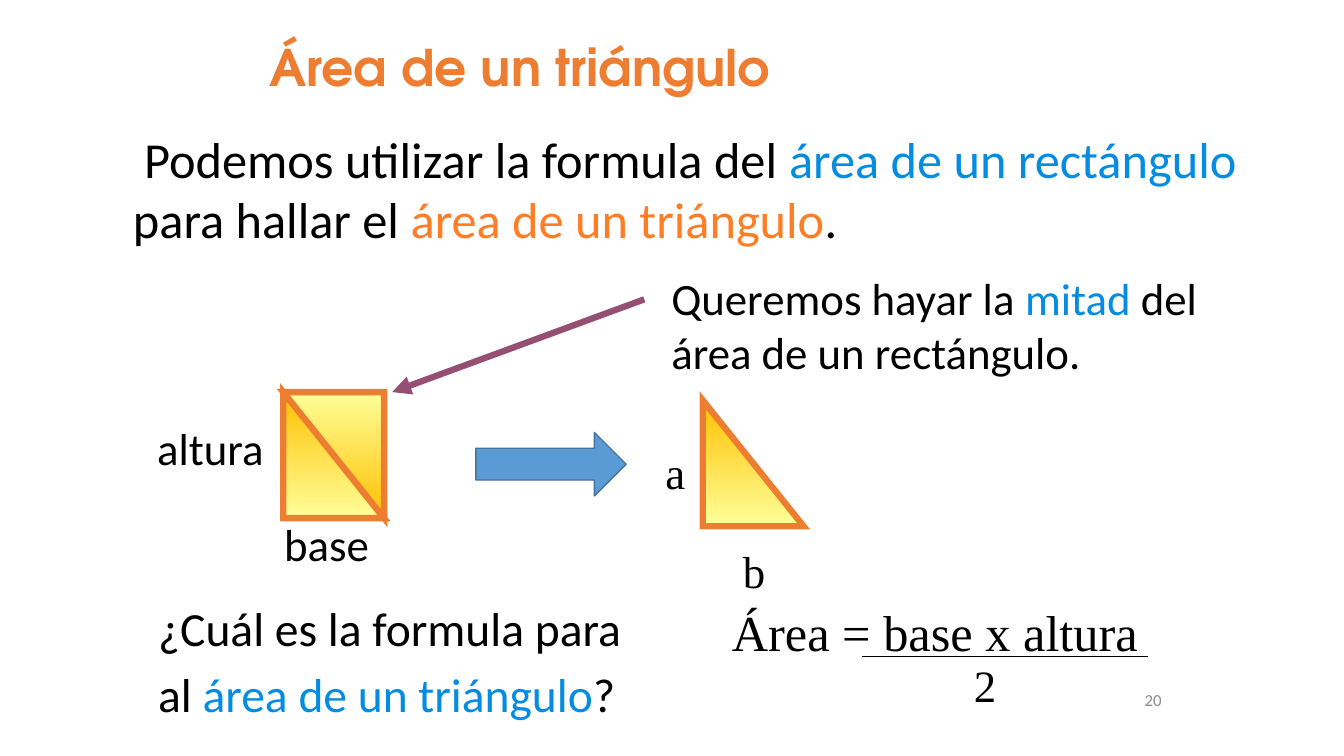
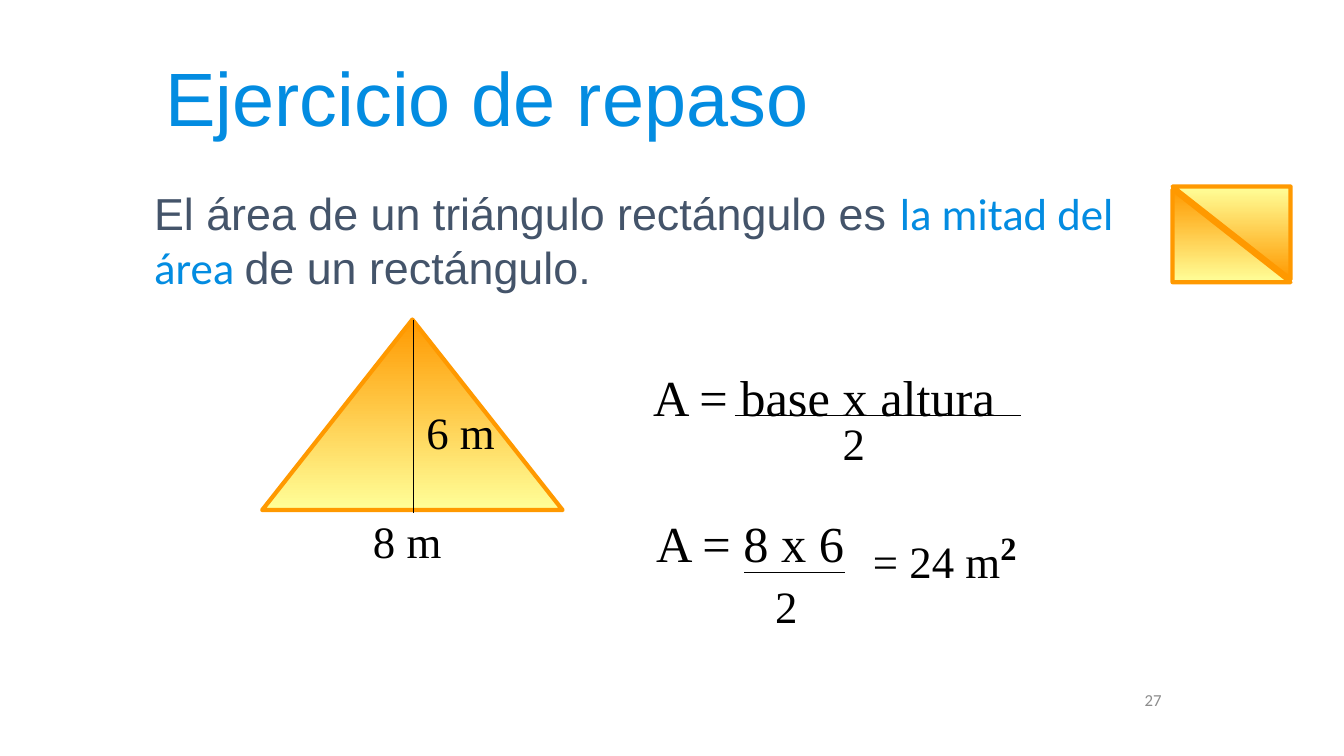
"""Build two slides about the area of a triangle."""
from dataclasses import dataclass

from lxml import etree
from pptx import Presentation
from pptx.dml.color import RGBColor
from pptx.enum.shapes import MSO_CONNECTOR, MSO_SHAPE
from pptx.enum.text import MSO_ANCHOR, MSO_AUTO_SIZE, PP_ALIGN
from pptx.oxml.ns import qn
from pptx.util import Inches, Pt

STRAIGHT = MSO_CONNECTOR.STRAIGHT
RIGHT_TRIANGLE = MSO_SHAPE.RIGHT_TRIANGLE
ISOSCELES = MSO_SHAPE.ISOSCELES_TRIANGLE
RIGHT_ARROW = MSO_SHAPE.RIGHT_ARROW
TOP, MIDDLE = MSO_ANCHOR.TOP, MSO_ANCHOR.MIDDLE
LEFT, CENTER, RIGHT = PP_ALIGN.LEFT, PP_ALIGN.CENTER, PP_ALIGN.RIGHT
TITLE_ONLY = 5


@dataclass(frozen=True)
class Theme:
    """Colours, fonts and type sizes of the deck."""
    black: str = "000000"
    blue: str = "038CE1"
    orange: str = "ED7D31"
    bright_orange: str = "FF7D25"
    amber: str = "FF9900"
    gold: str = "FFC000"
    pale_yellow: str = "FFFF99"
    slate: str = "44546A"
    plum: str = "954F72"
    grey: str = "8C8C8C"
    arrow_fill: str = "5B9BD5"
    arrow_line: str = "43739E"
    body: str = "Calibri"
    sans: str = "Arial"
    serif: str = "Times New Roman"
    display: str = "TeX Gyre Adventor"
    number_size: int = 12
    label_size: int = 32
    question_size: int = 34
    formula_size: int = 36
    power_size: int = 40
    title_size: int = 54


THEME = Theme()


@dataclass(frozen=True)
class Style:
    """Look of a stretch of text."""
    size: int = THEME.label_size
    font: str = THEME.body
    color: str = THEME.black
    bold: bool = False
    baseline: int = 0


@dataclass(frozen=True)
class TriangleStyle:
    """Gradient, outline and corner of a triangle."""
    color: str
    outline: str
    weight: float
    join: str


LABEL = Style()
BLUE_LABEL = Style(color=THEME.blue)
SERIF_LABEL = Style(font=THEME.serif)
FORMULA = Style(THEME.formula_size, THEME.serif)
POWER = Style(THEME.power_size, THEME.serif, bold=True, baseline=32000)
INTRO = Style(THEME.formula_size)
QUESTION = Style(THEME.question_size)
RULE = Style(font=THEME.sans, color=THEME.slate)
GOLD_TRIANGLE = TriangleStyle(THEME.gold, THEME.orange, 4.5, "miter")
AMBER_TRIANGLE = TriangleStyle(THEME.amber, THEME.amber, 3, "round")


def rgb(value):
    """Turn a hex value into a colour."""
    return RGBColor.from_string(value)


def write(box, runs, anchor=TOP, align=LEFT):
    """Fill a box with one paragraph made of (text, style) runs."""
    frame = box.text_frame
    frame.word_wrap = True
    frame.auto_size = MSO_AUTO_SIZE.NONE
    frame.vertical_anchor = anchor
    para = frame.paragraphs[0]
    para.alignment = align
    for text, style in runs:
        span = para.add_run()
        span.text = text
        font = span.font
        font.name, font.size, font.bold = style.font, Pt(style.size), style.bold
        font.color.rgb = rgb(style.color)
        if style.baseline:
            span._r.get_or_add_rPr().set("baseline", str(style.baseline))
    return para


def add_text(page, at, runs, anchor=TOP, align=LEFT):
    """Add a text box and return its paragraph."""
    box = page.shapes.add_textbox(*map(Inches, at))
    return write(box, runs, anchor, align)


def add_line(page, start, end, color=THEME.black, weight=0.75, arrow=False):
    """Add a straight line, with an arrowhead at its end if asked."""
    line = page.shapes.add_connector(STRAIGHT, *map(Inches, start + end))
    line.line.color.rgb = rgb(color)
    line.line.width = Pt(weight)
    properties = line._element.spPr
    if arrow:
        etree.SubElement(properties.find(qn("a:ln")), qn("a:tailEnd"), type="triangle")
    etree.SubElement(properties, qn("a:effectLst"))


def add_shape(page, kind, at, outline, weight):
    """Add a preset shape with an outline and no shadow."""
    shape = page.shapes.add_shape(kind, *map(Inches, at))
    shape.shadow.inherit = False
    shape.line.color.rgb = rgb(outline)
    shape.line.width = Pt(weight)
    return shape


def add_triangle(page, at, style, kind=RIGHT_TRIANGLE, rotation=0):
    """Add a triangle shaded from its colour down to pale yellow."""
    shape = add_shape(page, kind, at, style.outline, style.weight)
    shape.rotation = rotation
    shape.fill.gradient()
    shape.fill.gradient_angle = 270
    for stop, color in zip(shape.fill.gradient_stops, (style.color, THEME.pale_yellow)):
        stop.color.rgb = rgb(color)
    join = etree.SubElement(shape._element.spPr.find(qn("a:ln")), qn(f"a:{style.join}"))
    if style.join == "miter":
        join.set("lim", "800000")


def add_split_rectangle(page, at, style, lift=0):
    """Add a rectangle made of two right triangles."""
    left, top, width, height = at
    add_triangle(page, at, style)
    add_triangle(page, (left, top - lift, width, height), style, rotation=180)


def add_fraction(page, text, at, bar, denominator):
    """Add a formula with a bar (left, right, top) and a 2 under it."""
    add_text(page, at, [(text, FORMULA)])
    left, right, top = bar
    add_line(page, (left, top), (right, top))
    add_text(page, denominator + (0.8, 0.63), [("2", SERIF_LABEL)])


def add_page(deck, title, at, style, anchor, align, number):
    """Add a slide with its title and page number."""
    page = deck.slides.add_slide(deck.slide_layouts[TITLE_ONLY])
    heading = page.shapes.title
    heading.left, heading.top, heading.width, heading.height = map(Inches, at)
    write(heading, [(title, style)], anchor, align)
    number_style = Style(THEME.number_size, color=THEME.grey)
    add_text(page, (9.29, 6.74, 2.33, 0.4), [(number, number_style)], MIDDLE, RIGHT)
    return page


def build_triangle_area(deck):
    """Build the slide that derives the formula."""
    title = Style(THEME.formula_size, THEME.display, THEME.orange, bold=True)
    page = add_page(deck, "Área de un triángulo", (1.32, 0.31, 7.67, 0.92),
                    title, TOP, CENTER, "20")
    intro = add_text(page, (1.22, 1.22, 11.42, 1.31), [
        ("Podemos utilizar la formula del ", INTRO),
        ("área de un rectángulo", Style(THEME.formula_size, color=THEME.blue)),
        (" para hallar el ", INTRO),
        ("área de un triángulo", Style(THEME.formula_size, color=THEME.bright_orange)),
        (".", INTRO)])
    intro._p.get_or_add_pPr().set("indent", str(Inches(0.11)))
    add_text(page, (6.56, 2.64, 5.71, 1.18), [
        ("Queremos hayar la ", LABEL), ("mitad", BLUE_LABEL),
        (" del área de un rectángulo.", LABEL)])

    add_split_rectangle(page, (2.81, 3.89, 1, 1.25), GOLD_TRIANGLE)
    add_line(page, (6.39, 2.97), (3.89, 3.89), THEME.plum, 4.5, arrow=True)
    add_text(page, (1.46, 4.12, 1.4, 0.64), [("altura", LABEL)], MIDDLE)
    add_text(page, (2.72, 5.08, 1.67, 0.63), [("base", LABEL)])

    arrow = add_shape(page, RIGHT_ARROW, (4.72, 4.29, 1.49, 0.63), THEME.arrow_line, 1)
    arrow.fill.solid()
    arrow.fill.fore_color.rgb = rgb(THEME.arrow_fill)

    add_triangle(page, (6.97, 3.97, 1, 1.25), GOLD_TRIANGLE)
    add_text(page, (6.5, 4.36, 0.5, 0.63), [("a", SERIF_LABEL)], MIDDLE)
    add_text(page, (7.27, 5.34, 0.6, 0.63), [("b", SERIF_LABEL)])

    question = add_text(page, (1.47, 5.8, 4.98, 1.42), [
        ("¿Cuál es la formula para al ", QUESTION),
        ("área de un triángulo", Style(THEME.question_size, color=THEME.blue)),
        ("?", QUESTION)], MIDDLE)
    question.line_spacing = 1.15
    add_fraction(page, "Área = base x altura", (7.16, 5.91, 4.96, 0.71),
                 (8.55, 11.39, 6.51), (9.56, 6.48))


def build_review(deck):
    """Build the slide with the review exercise."""
    title = Style(THEME.title_size, THEME.sans, THEME.blue)
    page = add_page(deck, "Ejercicio de repaso", (1.54, 0.33, 8.17, 1.25),
                    title, MIDDLE, LEFT, "27")
    add_text(page, (1.43, 1.75, 9.73, 1.25), [
        ("El área de un triángulo rectángulo es ", RULE),
        ("la mitad del área ", BLUE_LABEL), ("de un rectángulo.", RULE)], MIDDLE)
    add_split_rectangle(page, (11.63, 1.88, 1.17, 0.92), AMBER_TRIANGLE, lift=0.03)

    add_triangle(page, (2.6, 3.17, 2.98, 1.89), AMBER_TRIANGLE, ISOSCELES)
    add_line(page, (4.1, 3.17), (4.1, 5.09))
    add_text(page, (3.6, 5.05, 1.25, 0.63), [("8 m", SERIF_LABEL)])
    add_text(page, (4.13, 3.97, 1.25, 0.63), [("6 m", SERIF_LABEL)])

    add_fraction(page, "A = base x altura", (6.38, 3.58, 4, 0.7),
                 (7.29, 10.13, 4.12), (8.26, 4.08))
    add_fraction(page, "A = 8 x 6", (6.41, 5.03, 3.17, 0.7),
                 (7.38, 8.38, 5.68), (7.59, 5.69))
    add_text(page, (8.56, 5.13, 2.6, 0.63), [("= 24 m", SERIF_LABEL), ("2", POWER)])


def main():
    """Build and save the deck."""
    deck = Presentation()
    deck.slide_width, deck.slide_height = Inches(13.33), Inches(7.5)
    build_triangle_area(deck)
    build_review(deck)
    deck.save("out.pptx")


if __name__ == "__main__":
    main()
